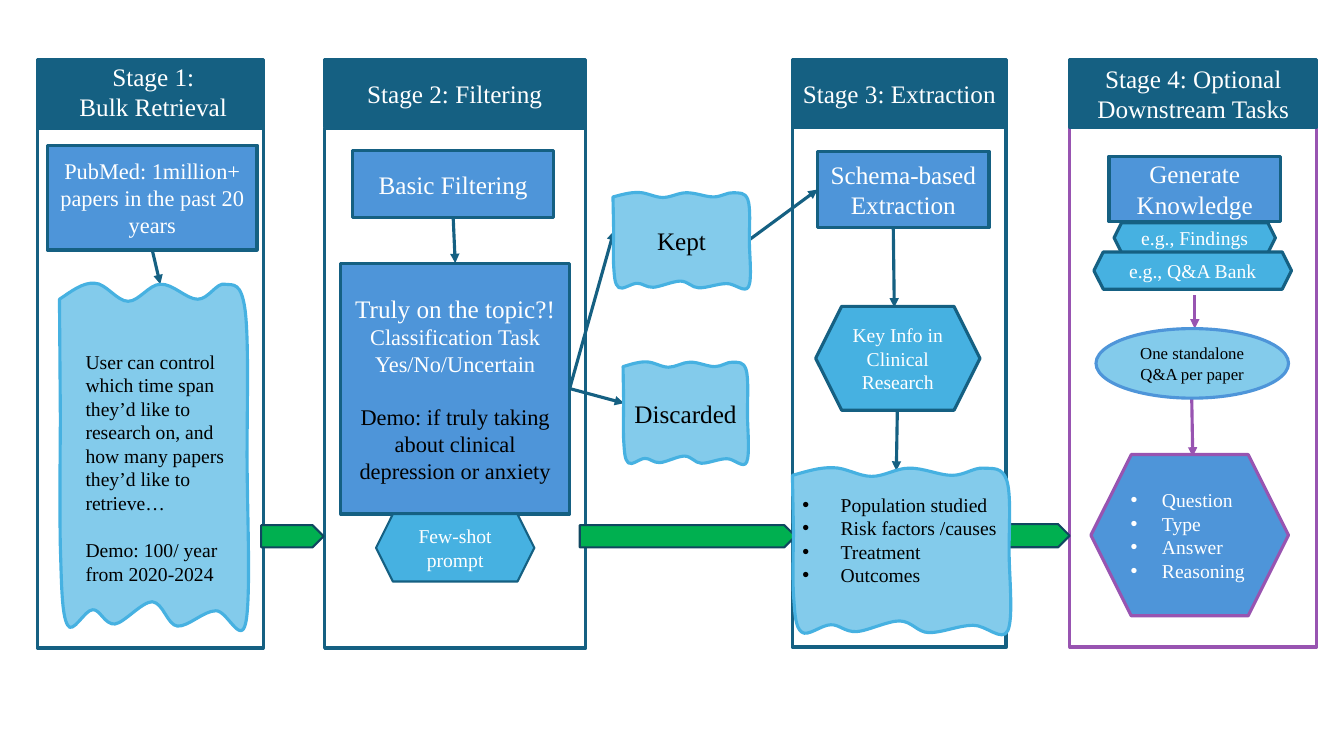
"""Build a slide that shows a four-stage paper mining flow."""
from lxml.etree import SubElement
from pptx import Presentation
from pptx.dml.color import RGBColor as Rgb
from pptx.enum.shapes import MSO_CONNECTOR as Link, MSO_SHAPE as Kind
from pptx.enum.text import MSO_ANCHOR as Anchor, PP_ALIGN as Align
from pptx.oxml.ns import qn
from pptx.util import Pt

PX = 9144
FONT = "Times New Roman"
TEAL, BLUE, SKY = Rgb(0x15, 0x60, 0x82), Rgb(0x4E, 0x95, 0xD9), Rgb(0x46, 0xB1, 0xE1)
PALE, PLUM = Rgb(0x83, 0xCB, 0xEB), Rgb(0x98, 0x54, 0xB1)
GREEN, DEEP = Rgb(0x00, 0xB0, 0x50), Rgb(0x10, 0x47, 0x60)
WHITE, BLACK = Rgb(0xFF, 0xFF, 0xFF), Rgb(0, 0, 0)

LOOKS = {
    "panel": (Kind.RECTANGLE, None, TEAL, 2.25),
    "thick": (Kind.RECTANGLE, None, TEAL, 2.75),
    "last": (Kind.RECTANGLE, None, PLUM, 2.25),
    "head": (Kind.RECTANGLE, TEAL, TEAL, 2.25),
    "step": (Kind.RECTANGLE, BLUE, TEAL, 2.25),
    "plate": (Kind.PENTAGON, GREEN, DEEP, 1.5),
    "hex": (Kind.HEXAGON, SKY, TEAL, 2.25),
    "prompt": (Kind.HEXAGON, SKY, TEAL, 1.5),
    "answer": (Kind.HEXAGON, BLUE, PLUM, 2.25),
    "oval": (Kind.OVAL, PALE, BLUE, 2.25),
    "wave": (None, PALE, SKY, 2.25),
}

PANELS = [
    ("panel", (37, 127, 224, 516)),
    ("panel", (322, 127, 259, 516)),
    ("thick", (786, 126, 212, 516)),
    ("last", (1061, 126, 245, 516)),
]
HEADS = [
    ("head", (37, 59, 224, 67)),
    ("head", (322, 59, 259, 67)),
    ("head", (786, 59, 212, 67), ["Stage 3: Extraction"], {"side": 5}),
    ("head", (1061, 59, 245, 67), ["Stage 4: Optional Downstream Tasks"], {"side": 5}),
]
TRULY = [
    "Truly on the topic?!",
    ("Classification Task", {"size": 16}),
    ("Yes/No/Uncertain", {"size": 16}),
    ("Demo: if truly taking about clinical depression or anxiety",
     {"size": 16, "ink": BLACK, "gap": 19}),
]
STEPS = {
    "papers": ("step", (47, 144, 208, 104),
               ["PubMed: 1million+ papers in the past 20 years"], {"size": 16}),
    "basic": ("step", (350, 149, 199, 67), ["Basic Filtering"]),
    "truly": ("step", (338, 261, 227, 249), TRULY),
    "schema": ("step", (811, 150, 170, 76), ["Schema-based Extraction"]),
    "know": ("step", (1100, 155, 170, 65), ["Generate Knowledge"]),
}
ARROWS = [
    (("papers", 2), (159, 282), TEAL),
    (("basic", 2), ("truly", 0), TEAL),
    (("truly", 3), (609, 229), TEAL),
    (("truly", 3), (619, 400), TEAL),
    ((743, 238), ("schema", 1), TEAL),
    ((886, 227), (887, 305), TEAL),
    ((890, 407), (889, 467), TEAL),
    ((1185, 293), (1185, 326), PLUM),
    ((1182, 395), (1183, 453), PLUM),
]
FACTS = ["Population studied", "Risk factors /causes", "Treatment", "Outcomes"]
PARTS = ["Question", "Type", "Answer", "Reasoning"]
SMALL = {"size": 14}
DARK = {"ink": BLACK}
ITEMS = [
    ("plate", (259, 521, 62, 22)),
    ("plate", (575, 521, 214, 22)),
    ("plate", (998, 520, 63, 23)),
    ("wave", (59, 281, 187, 345)),
    ("wave", (608, 191, 136, 96), ["Kept"], DARK),
    ("wave", (618, 359, 124, 102), ["Discarded"], DARK),
    ("wave", (786, 464, 216, 166), FACTS,
     {"size": 14, "ink": BLACK, "hang": 38, "foot": 28}),
    ("hex", (809, 304, 163, 103), ["Key Info in Clinical Research"], SMALL),
    ("answer", (1082, 451, 196, 160), PARTS, {"size": 14, "hang": 31}),
    ("prompt", (373, 510, 157, 67), ["Few-shot prompt"], SMALL),
    ("hex", (1105, 221, 160, 30), ["e.g., Findings"], SMALL),
    ("hex", (1085, 250, 196, 37), ["e.g., Q&A Bank"], SMALL),
    ("oval", (1087, 326, 191, 69), ["One standalone Q&A per paper"],
     {"size": 12, "ink": BLACK}),
]
NOTE = [
    "User can control which time span they’d like to research on, "
    "and how many papers they’d like to retrieve…",
    ("Demo: 100/ year from 2020-2024", {"gap": 17}),
]
LABELS = [
    ((65, 56, 174, 71), ["Stage 1:", "Bulk Retrieval"], {"wrap": False}),
    ((353, 73, 196, 40), ["Stage 2: Filtering"], {"wrap": False}),
    ((75, 342, 163, 269), NOTE, {"size": 14, "ink": BLACK, "align": Align.LEFT}),
]

START = (0, 46)
CURVES = [
    (64, 23, 123, -3, 187, 0), (246, 0, 305, 52, 364, 52),
    (422, 52, 476, 3, 535, 3), (599, 0, 674, 46, 733, 46),
    (791, 46, 834, -3, 877, 3), (920, 6, 963, -6, 984, 75),
    (1005, 159, 995, 345, 995, 496), (995, 643, 1016, 899, 989, 974),
    (963, 1046, 888, 939, 829, 942), (765, 942, 684, 988, 626, 986),
    (572, 983, 551, 919, 492, 916), (438, 916, 342, 977, 294, 980),
    (241, 983, 214, 936, 176, 939), (134, 939, 70, 1012, 43, 983),
    (11, 954, 11, 858, 5, 762), (0, 664, 5, 394, 5, 394),
]
BASE = {"size": 18, "ink": WHITE, "align": Align.CENTER, "gap": 0,
        "hang": 0, "side": 10, "foot": 5, "wrap": True}


def emu(box):
    return [n * PX for n in box]


def assign(target, values):
    for name, value in values.items():
        setattr(target, name, value)


def write(shape, lines, style, anchor=Anchor.MIDDLE):
    base = {**BASE, **style}
    frame = shape.text_frame
    assign(frame, {"word_wrap": base["wrap"], "vertical_anchor": anchor,
                   "margin_left": base["side"] * PX, "margin_right": base["side"] * PX,
                   "margin_top": 5 * PX, "margin_bottom": base["foot"] * PX})
    for i, line in enumerate(lines):
        text, extra = (line, {}) if isinstance(line, str) else line
        form = {**base, **extra}
        para = frame.add_paragraph() if i else frame.paragraphs[0]
        if form["hang"]:
            props = para._p.get_or_add_pPr()
            props.set("marL", str(form["hang"] * PX))
            props.set("indent", str(-form["hang"] * PX))
            SubElement(props, qn("a:buFont")).set("typeface", "Arial")
            SubElement(props, qn("a:buChar")).set("char", "•")
            form["align"] = Align.LEFT
        para.alignment = form["align"]
        if form["gap"]:
            para.space_before = Pt(form["gap"])
        run = para.add_run()
        run.text = text
        assign(run.font, {"name": FONT, "size": Pt(form["size"])})
        run.font.color.rgb = form["ink"]


def trace(shapes, box):
    left, top, wide, high = emu(box)
    right, base = left + wide, top + high
    pen = shapes.build_freeform(left, top)
    pen.add_line_segments([(right, top), (right, base), (left, base)])
    shape = pen.convert_to_shape()
    route = next(shape.element.iter(qn("a:path")))
    for child in list(route):
        route.remove(child)
    for side in "wh":
        route.set(side, "1000")
    moves = [("moveTo", START)] + [("cubicBezTo", c) for c in CURVES] + [("lnTo", START)]
    for tag, nums in moves:
        move = SubElement(route, qn("a:" + tag))
        for x, y in zip(nums[::2], nums[1::2]):
            dot = SubElement(move, qn("a:pt"))
            dot.set("x", str(x))
            dot.set("y", str(y))
    SubElement(route, qn("a:close"))
    return shape


def draw(shapes, look, box, lines=(), style={}):
    kind, fill, edge, width = LOOKS[look]
    shape = shapes.add_shape(kind, *emu(box)) if kind else trace(shapes, box)
    shape.shadow.inherit = False
    if fill:
        shape.fill.solid()
        shape.fill.fore_color.rgb = fill
    else:
        shape.fill.background()
    shape.line.color.rgb = edge
    shape.line.width = Pt(width)
    if lines:
        write(shape, lines, style)
    return shape


def join(shapes, steps, start, end, color):
    ends = [(0, 0) if isinstance(p[0], str) else emu(p) for p in (start, end)]
    link = shapes.add_connector(Link.STRAIGHT, *ends[0], *ends[1])
    for point, hook in ((start, link.begin_connect), (end, link.end_connect)):
        if isinstance(point[0], str):
            hook(steps[point[0]], point[1])
    link.line.color.rgb = color
    link.line.width = Pt(2.25)
    props = link.element.spPr
    SubElement(props.find(qn("a:ln")), qn("a:tailEnd")).set("type", "triangle")
    SubElement(props, qn("a:effectLst"))


def main():
    deck = Presentation()
    deck.slide_width, deck.slide_height = emu((1333, 750))
    shapes = deck.slides.add_slide(deck.slide_layouts[6]).shapes
    for item in PANELS + HEADS:
        draw(shapes, *item)
    steps = {name: draw(shapes, *item) for name, item in STEPS.items()}
    for arrow in ARROWS:
        join(shapes, steps, *arrow)
    for item in ITEMS:
        draw(shapes, *item)
    for box, lines, style in LABELS:
        write(shapes.add_textbox(*emu(box)), lines, style, Anchor.TOP)
    deck.save("out.pptx")


if __name__ == "__main__":
    main()
